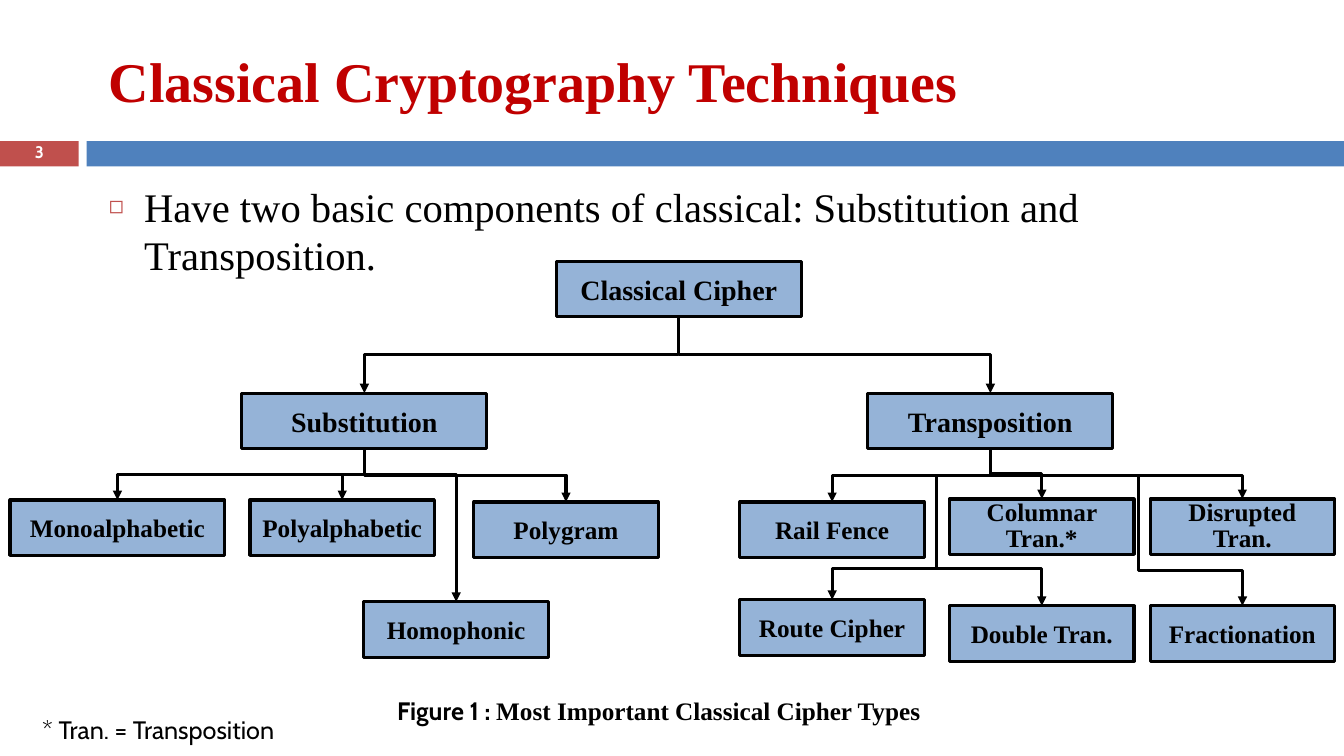
from lxml import etree
from pptx import Presentation, util as u
from pptx.dml.color import RGBColor
from pptx.enum import shapes, text
from pptx.oxml import ns

RED = RGBColor(0xC0, 0x00, 0x00)
BRICK = RGBColor(0xC0, 0x50, 0x4D)
BLUE = RGBColor(0x4F, 0x81, 0xBD)
PALE_BLUE = RGBColor(0x95, 0xB3, 0xD7)
BLACK = RGBColor(0x00, 0x00, 0x00)
WHITE = RGBColor(0xFF, 0xFF, 0xFF)
SERIF, SANS = "Times New Roman", "Cabin"
CELL = u.Inches(0.1)
BOX_HEIGHT, WIDE, NARROW = 5.5, 24.3, 18.3


def cells(*lengths):
    return [round(length * CELL) for length in lengths]


def write(shape, runs, alignment, anchor, color):
    frame = shape.text_frame
    frame_format = {"word_wrap": True, "auto_size": text.MSO_AUTO_SIZE.NONE,
                    "vertical_anchor": anchor}
    for name, value in frame_format.items():
        setattr(frame, name, value)
    paragraph = frame.paragraphs[0]
    paragraph.alignment = alignment
    for words, font_name, size, bold in runs:
        run = paragraph.add_run()
        run.text = words
        run.font.color.rgb = color
        font_format = {"name": font_name, "size": u.Pt(size), "bold": bold}
        for name, value in font_format.items():
            setattr(run.font, name, value)
    return paragraph


LEFT, CENTER = text.PP_ALIGN.LEFT, text.PP_ALIGN.CENTER
TOP, MIDDLE = text.MSO_ANCHOR.TOP, text.MSO_ANCHOR.MIDDLE

presentation = Presentation()
presentation.slide_width, presentation.slide_height = cells(133.33, 75)
slide = presentation.slides.add_slide(presentation.slide_layouts[1])

for left, width, color in ((0, 7.8, BRICK), (8.6, 124.73, BLUE)):
    bar = slide.shapes.add_shape(shapes.MSO_SHAPE.RECTANGLE, *cells(left, 14, width, 2.5))
    bar.shadow.inherit = False
    bar.fill.solid()
    bar.fill.fore_color.rgb = color
    bar.line.fill.background()

title, body = slide.placeholders
for placeholder, top, height in ((title, 2.5, 10.8), (body, 17.5, 49.2)):
    placement = zip(("left", "top", "width", "height"), cells(9.8, top, 102.7, height))
    for name, value in placement:
        setattr(placeholder, name, value)

write(title, [("Classical Cryptography Techniques", SERIF, 40, True)], LEFT, MIDDLE, RED)
bullet_text = "Have two basic components of classical: Substitution and Transposition."
paragraph = write(body, [(bullet_text, SERIF, 29, False)], LEFT, TOP, BLACK)
paragraph.space_before = u.Pt(7)
properties = paragraph._p.get_or_add_pPr()
properties.set("marL", str(u.Inches(0.35)))
properties.set("indent", str(-u.Inches(0.35)))
bullet_color = etree.SubElement(properties, ns.qn("a:buClr"))
etree.SubElement(bullet_color, ns.qn("a:srgbClr"), val=str(BRICK))
etree.SubElement(properties, ns.qn("a:buSzPct"), val="60000")
etree.SubElement(properties, ns.qn("a:buChar"), char="◻")

labels = (
    ((0, 13.9, 7.8, 2.7), [("3", SANS, 12, True)], CENTER, MIDDLE, WHITE),
    ((38.4, 68.5, 54.8, 6), [("Figure 1 : ", SANS, 18, True),
     ("Most Important Classical Cipher Types", SERIF, 18, True)], LEFT, TOP, BLACK),
    ((3.2, 70.4, 30.7, 4), [("* Tran. = Transposition", SANS, 18, False)], LEFT, TOP, BLACK),
)
for place, runs, alignment, anchor, color in labels:
    label = slide.shapes.add_textbox(*cells(*place))
    paragraph = write(label, runs, alignment, anchor, color)
    if color == WHITE:
        paragraph.line_spacing = 0.8

ciphers = {
    "Classical Cipher": (67.35, 25.9, WIDE, 20),
    "Substitution": (36.15, 39, WIDE, 20),
    "Transposition": (98.25, 39, WIDE, 20),
    "Monoalphabetic": (11.65, 49.6, 21.3, 18),
    "Polyalphabetic": (33.95, 49.6, NARROW, 18),
    "Polygram": (56.15, 49.8, NARROW, 18),
    "Homophonic": (45.25, 59.7, NARROW, 18),
    "Rail Fence": (82.55, 49.8, NARROW, 18),
    "Columnar Tran.*": (103.35, 49.5, NARROW, 18),
    "Disrupted Tran.": (123.25, 49.5, NARROW, 18),
    "Route Cipher": (82.55, 59.5, NARROW, 18),
    "Double Tran.": (103.35, 60.1, NARROW, 18),
    "Fractionation": (123.25, 60.1, NARROW, 18),
}
two_line_names = ("Columnar Tran.*", "Disrupted Tran.")
bottoms = {}
for name, (center, top, width, size) in ciphers.items():
    box = slide.shapes.add_shape(shapes.MSO_SHAPE.RECTANGLE,
                                 *cells(center - width / 2, top, width, BOX_HEIGHT))
    box.shadow.inherit = False
    box.fill.solid()
    box.fill.fore_color.rgb = PALE_BLUE
    box.line.color.rgb = BLACK
    box.line.width = u.Pt(2.25)
    paragraph = write(box, [(name, SERIF, size, True)], CENTER, MIDDLE, BLACK)
    if name in two_line_names:
        paragraph.line_spacing = 0.85
        box.text_frame.margin_top = box.text_frame.margin_bottom = 0
    bottoms[name] = (center, top + BOX_HEIGHT)

substitution, transposition = bottoms["Substitution"], bottoms["Transposition"]
links = (
    (bottoms["Classical Cipher"], "Substitution", 0.5),
    ((67.35, 35.2), "Transposition", None),
    (substitution, "Monoalphabetic", 0.5),
    (substitution, "Polyalphabetic", 0.5),
    (substitution, "Polygram", 0.5),
    (substitution, "Homophonic", 0.17),
    (transposition, "Rail Fence", 0.5),
    (transposition, "Columnar Tran.*", 0.5),
    (transposition, "Disrupted Tran.", 0.53),
    ((92.9, 47.3), "Route Cipher", 9.1 / 12.2),
    ((92.9, 56.4), "Double Tran.", None),
    ((112.9, 47.2), "Fractionation", 0.73),
)
for (start_x, start_y), name, bend in links:
    end_x, end_y = ciphers[name][:2]
    across, down = abs(end_x - start_x), end_y - start_y
    width, height = (across, down) if bend is None else (down, across)
    left = (start_x + end_x - width) / 2
    top = (start_y + end_y - height) / 2
    arrow = slide.shapes.add_connector(shapes.MSO_CONNECTOR.ELBOW,
                                       *cells(left, top, left + width, top + height))
    drawing = arrow._element.spPr
    geometry = drawing.find(ns.qn("a:prstGeom"))
    if bend is None:
        geometry.set("prst", "bentConnector2")
    else:
        frame = drawing.find(ns.qn("a:xfrm"))
        frame.set("rot", "5400000" if end_x < start_x else "16200000")
        frame.set("flipH", "0" if end_x < start_x else "1")
        adjustments = geometry.find(ns.qn("a:avLst"))
        if adjustments is None:
            adjustments = etree.SubElement(geometry, ns.qn("a:avLst"))
        etree.SubElement(adjustments, ns.qn("a:gd"), name="adj1",
                         fmla=f"val {round(bend * 100000)}")
    arrow.line.color.rgb = BLACK
    arrow.line.width = u.Pt(2.25)
    etree.SubElement(drawing.find(ns.qn("a:ln")), ns.qn("a:tailEnd"), type="triangle")
    etree.SubElement(drawing, ns.qn("a:effectLst"))

presentation.save("out.pptx")
